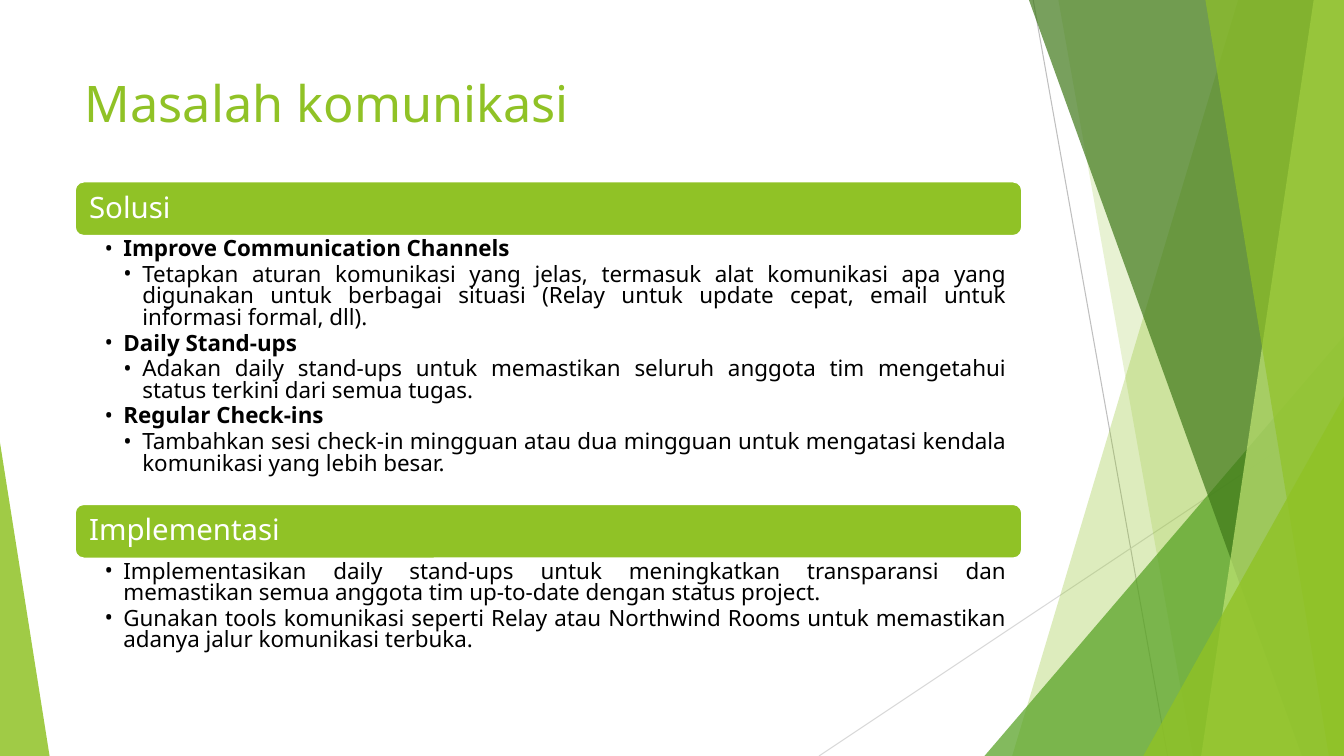
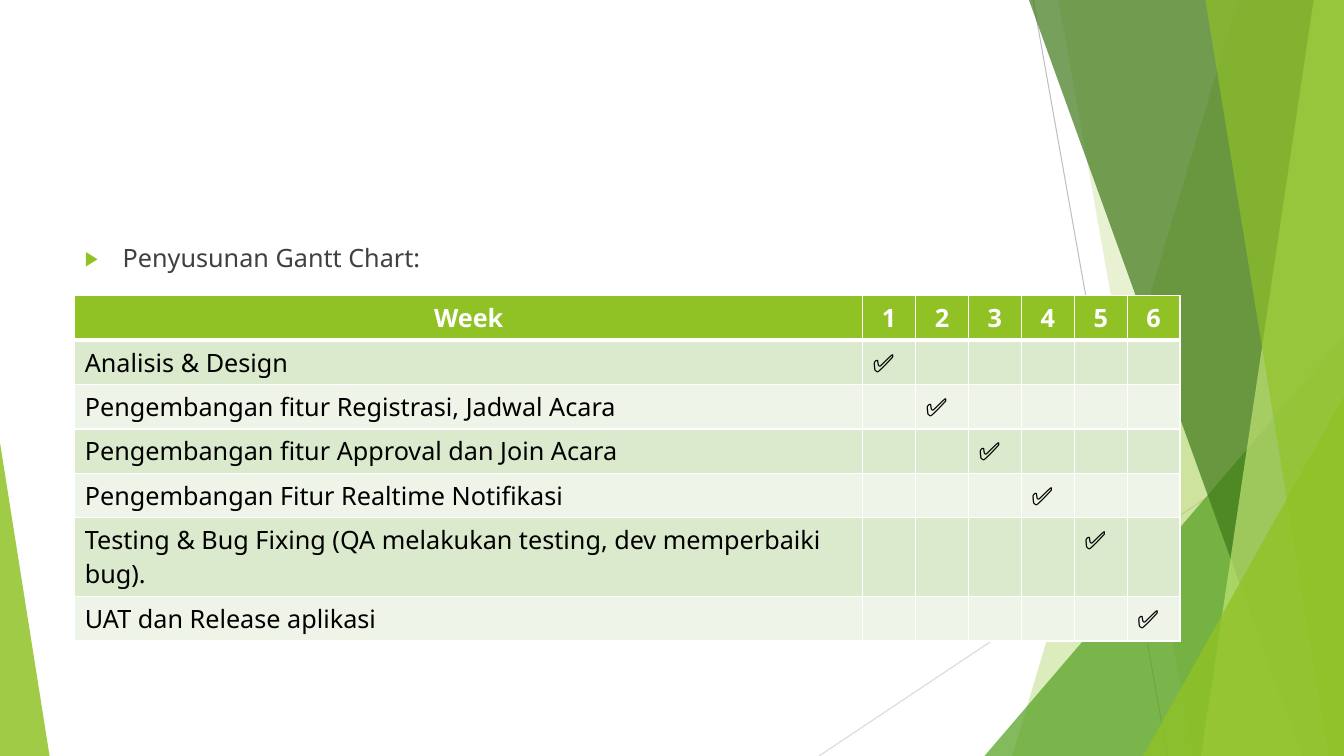
import dataclasses
import typing

import lxml.etree
import pptx
import pptx.dml.color
import pptx.enum.shapes
import pptx.enum.text
import pptx.oxml.ns
import pptx.util

COLUMNS, ROWS = 160, 90
UNIT = pptx.util.Inches(7.5) / ROWS
FONT = "Noto Sans"
GREEN, WHITE, BLACK, GREY = "90C226", "FFFFFF", "000000", "404040"
BAND_FILLS = ("DBE9CD", "EEF4E8")
LEFT, WIDTH = 8.9, 112.8
BAR_HEIGHT = 6.5
ALIGN = pptx.enum.text.PP_ALIGN
ANCHOR = pptx.enum.text.MSO_ANCHOR
SHAPE = pptx.enum.shapes.MSO_SHAPE
qn = pptx.oxml.ns.qn


@dataclasses.dataclass(frozen=True)
class Ray:
    start: tuple[float, float]
    end: tuple[float, float]
    colour: str


@dataclasses.dataclass(frozen=True)
class Blade:
    top_column: float
    bottom_column: float
    colour: str
    opacity: int


@dataclasses.dataclass(frozen=True)
class Wedge:
    left: float
    top: float
    width: float
    apex: float
    colour: str
    opacity: int


@dataclasses.dataclass(frozen=True)
class Point:
    text: str
    level: int = 1
    bold: bool = False
    justified: bool = True


@dataclasses.dataclass(frozen=True)
class Section:
    heading: str
    top: float
    height: float
    points: tuple[Point, ...]


BACKDROP = (
    Ray((123, 0), (139, ROWS), "BFBFBF"),
    Ray((COLUMNS, 48.35), (97.5, ROWS), "D9D9D9"),
    Blade(147.4, 120.5, GREEN, 30),
    Blade(126, 142, GREEN, 20),
    Wedge(117.2, 40, 42.8, 1, "54A021", 72),
    Blade(122.5, 155, "3F7819", 70),
    Blade(156.4, 143, "C0E474", 70),
    Blade(143.5, 158.2, GREEN, 65),
    Wedge(136.1, 47.2, 23.9, 1, GREEN, 80),
    Wedge(0, 52.7, 5.9, 0, GREEN, 85),
)

SECTIONS = (
    Section("Solusi", 21.6, 31.9, (
        Point("Improve Communication Channels", bold=True, justified=False),
        Point("Tetapkan aturan komunikasi yang jelas, termasuk alat komunikasi apa yang "
              "digunakan untuk berbagai situasi (Relay untuk update cepat, email untuk "
              "informasi formal, dll).", level=2),
        Point("Daily Stand-ups", bold=True, justified=False),
        Point("Adakan daily stand-ups untuk memastikan seluruh anggota tim mengetahui "
              "status terkini dari semua tugas.", level=2),
        Point("Regular Check-ins", bold=True),
        Point("Tambahkan sesi check-in mingguan atau dua mingguan untuk mengatasi kendala "
              "komunikasi yang lebih besar.", level=2),
    )),
    Section("Implementasi", 60, 12.6, (
        Point("Implementasikan daily stand-ups untuk meningkatkan transparansi dan "
              "memastikan semua anggota tim up-to-date dengan status project."),
        Point("Gunakan tools komunikasi seperti Relay atau Northwind Rooms untuk memastikan "
              "adanya jalur komunikasi terbuka."),
    )),
)

TASKS = (
    "Analisis & Design",
    "Pengembangan fitur Registrasi, Jadwal Acara",
    "Pengembangan fitur Approval dan Join Acara",
    "Pengembangan Fitur Realtime Notifikasi",
    "Testing & Bug Fixing (QA melakukan testing, dev memperbaiki bug).",
    "UAT dan Release aplikasi",
)
TASK_COLUMN, WEEK_COLUMN = 93.8, 6.3
TABLE_TOP, TABLE_ROW, TALL_ROW = 35.2, 5.28, 9.4


def units(count: float) -> pptx.util.Emu:
    return pptx.util.Emu(round(count * UNIT))


def box(left: float, top: float, width: float, height: float) -> tuple[pptx.util.Emu, ...]:
    return tuple(units(length) for length in (left, top, width, height))


def rgb(colour: str) -> pptx.dml.color.RGBColor:
    return pptx.dml.color.RGBColor.from_string(colour)


def add_xml(parent: typing.Any, tag: str, **attributes: typing.Any) -> typing.Any:
    values = {name: str(value) for name, value in attributes.items()}
    return lxml.etree.SubElement(parent, qn(tag), values)


def paint(shape: typing.Any, colour: str, opacity: int = 100) -> None:
    shape.shadow.inherit = False
    shape.fill.solid()
    shape.fill.fore_color.rgb = rgb(colour)
    shape.line.fill.background()
    if opacity < 100:
        fill_colour = next(shape.element.spPr.iter(qn("a:srgbClr")))
        add_xml(fill_colour, "a:alpha", val=opacity * 1000)


def style(paragraph: typing.Any, size: float, colour: str, bold: bool = False,
          alignment: typing.Any = ALIGN.LEFT) -> None:
    paragraph.alignment = alignment
    for run in paragraph.runs:
        run.font.name = FONT
        run.font.size = pptx.util.Pt(size)
        run.font.bold = bold
        run.font.color.rgb = rgb(colour)


def set_bullet(paragraph: typing.Any, character: str, margin: float, hanging: float,
               colour: str, percent: int = 100) -> None:
    properties = paragraph._p.get_or_add_pPr()
    properties.set("marL", str(units(margin)))
    properties.set("indent", str(-units(hanging)))
    add_xml(add_xml(properties, "a:buClr"), "a:srgbClr", val=colour)
    add_xml(properties, "a:buSzPct", val=percent * 1000)
    add_xml(properties, "a:buFont", typeface=FONT)
    add_xml(properties, "a:buChar", char=character)


def set_insets(frame: typing.Any, left: float, top: float, right: float, bottom: float) -> None:
    frame.margin_left, frame.margin_top, frame.margin_right, frame.margin_bottom = box(
        left, top, right, bottom)
    frame.word_wrap = True


def place(shape: typing.Any, left: float, top: float, width: float, height: float) -> None:
    shape.left, shape.top, shape.width, shape.height = box(left, top, width, height)


def draw_ray(shapes: typing.Any, ray: Ray) -> None:
    connector = shapes.add_connector(
        pptx.enum.shapes.MSO_CONNECTOR.STRAIGHT, *box(*ray.start, *ray.end))
    connector.line.color.rgb = rgb(ray.colour)
    connector.line.width = pptx.util.Pt(0.75)
    add_xml(connector.element.spPr, "a:effectLst")


def draw_blade(shapes: typing.Any, blade: Blade) -> None:
    builder = shapes.build_freeform(units(blade.top_column), 0)
    corners = ((COLUMNS, 0), (COLUMNS, ROWS), (blade.bottom_column, ROWS))
    builder.add_line_segments([(units(column), units(row)) for column, row in corners], close=True)
    paint(builder.convert_to_shape(), blade.colour, blade.opacity)


def draw_wedge(shapes: typing.Any, wedge: Wedge) -> None:
    triangle = shapes.add_shape(
        SHAPE.ISOSCELES_TRIANGLE, *box(wedge.left, wedge.top, wedge.width, ROWS - wedge.top))
    triangle.adjustments[0] = wedge.apex
    paint(triangle, wedge.colour, wedge.opacity)


def add_backdrop(master: typing.Any, slide: typing.Any) -> None:
    painters = {Ray: draw_ray, Blade: draw_blade, Wedge: draw_wedge}
    group = slide.shapes.add_group_shape()
    for item in BACKDROP:
        painters[type(item)](group.shapes, item)
    tree = master.element.cSld.spTree
    tree.insert(2, group.element)
    for number, properties in enumerate(tree.iter(qn("p:cNvPr")), 1):
        properties.set("id", str(number))


def set_title(slide: typing.Any, text: str) -> None:
    title = slide.shapes.title
    place(title, LEFT, 8, WIDTH, 13.3)
    title.text_frame.text = text
    title.text_frame.vertical_anchor = ANCHOR.TOP
    style(title.text_frame.paragraphs[0], 36, GREEN)


def draw_section(slide: typing.Any, section: Section) -> None:
    bar = slide.shapes.add_shape(
        SHAPE.ROUNDED_RECTANGLE, *box(LEFT, section.top, WIDTH, BAR_HEIGHT))
    paint(bar, GREEN)
    bar.line.color.rgb = rgb(WHITE)
    bar.line.width = pptx.util.Pt(1.5)
    frame = bar.text_frame
    set_insets(frame, 1.4, 0, 1.4, 0)
    frame.vertical_anchor = ANCHOR.MIDDLE
    frame.text = section.heading
    frame.paragraphs[0].line_spacing = 0.9
    style(frame.paragraphs[0], 21, WHITE)

    frame = slide.shapes.add_textbox(
        *box(LEFT, section.top + BAR_HEIGHT, WIDTH, section.height)).text_frame
    set_insets(frame, 3.55, 0.4, 1.9, 0.4)
    frame.text = "\n".join(point.text for point in section.points)
    for paragraph, point in zip(frame.paragraphs, section.points):
        paragraph.level = point.level
        paragraph.line_spacing = 0.8
        paragraph.space_after = pptx.util.Pt(3)
        style(paragraph, 16, BLACK, point.bold, ALIGN.JUSTIFY if point.justified else ALIGN.LEFT)
        set_bullet(paragraph, "•", 2.25 * point.level, 2.25, BLACK)


def set_borders(cell: typing.Any, top: float, bottom: float) -> None:
    properties = cell._tc.get_or_add_tcPr()
    widths = {"a:lnL": 1, "a:lnR": 1, "a:lnT": top, "a:lnB": bottom}
    for position, (tag, width) in enumerate(widths.items()):
        border = add_xml(properties, tag, w=pptx.util.Pt(width))
        add_xml(add_xml(border, "a:solidFill"), "a:srgbClr", val=WHITE)
        properties.insert(position, border)


def draw_schedule(slide: typing.Any) -> None:
    weeks = range(1, len(TASKS) + 1)
    content = [["Week", *map(str, weeks)]]
    content += [[task, *("✅" if week == due else "" for week in weeks)]
                for due, task in enumerate(TASKS, 1)]
    widths = [TASK_COLUMN] + [WEEK_COLUMN] * len(weeks)
    heights = [TALL_ROW if row[0].startswith("Testing") else TABLE_ROW for row in content]
    table = slide.shapes.add_table(
        len(heights), len(widths), *box(LEFT, TABLE_TOP, sum(widths), sum(heights))).table
    table.horz_banding = False
    for column, width in zip(table.columns, widths):
        column.width = units(width)
    for index, (row, height, texts) in enumerate(zip(table.rows, heights, content)):
        row.height = units(height)
        header = index == 0
        for position, (cell, text) in enumerate(zip(row.cells, texts)):
            cell.fill.solid()
            cell.fill.fore_color.rgb = rgb(GREEN if header else BAND_FILLS[(index - 1) % 2])
            set_borders(cell, 3 if index == 1 else 1, 3 if header else 1)
            cell.text_frame.text = text
            style(cell.text_frame.paragraphs[0], 18, WHITE if header else BLACK,
                  header or position > 0, ALIGN.CENTER if header else ALIGN.LEFT)


def set_lead(slide: typing.Any, text: str) -> None:
    body = slide.placeholders[1]
    place(body, LEFT, 28.3, WIDTH, 50.9)
    body.text_frame.text = text
    paragraph = body.text_frame.paragraphs[0]
    paragraph.space_before = pptx.util.Pt(10)
    style(paragraph, 18, GREY)
    set_bullet(paragraph, "▶", 4.5, 4.5, GREEN, 80)


def main() -> None:
    presentation = pptx.Presentation()
    presentation.slide_width, presentation.slide_height = units(COLUMNS), units(ROWS)
    layouts = presentation.slide_layouts

    communication = presentation.slides.add_slide(layouts.get_by_name("Title Only"))
    add_backdrop(presentation.slide_master, communication)
    set_title(communication, "Masalah komunikasi")
    for section in SECTIONS:
        draw_section(communication, section)

    schedule = presentation.slides.add_slide(layouts.get_by_name("Title and Content"))
    title = schedule.shapes.title.element
    title.getparent().remove(title)
    set_lead(schedule, "Penyusunan Gantt Chart:")
    draw_schedule(schedule)

    presentation.save("out.pptx")


if __name__ == "__main__":
    main()
